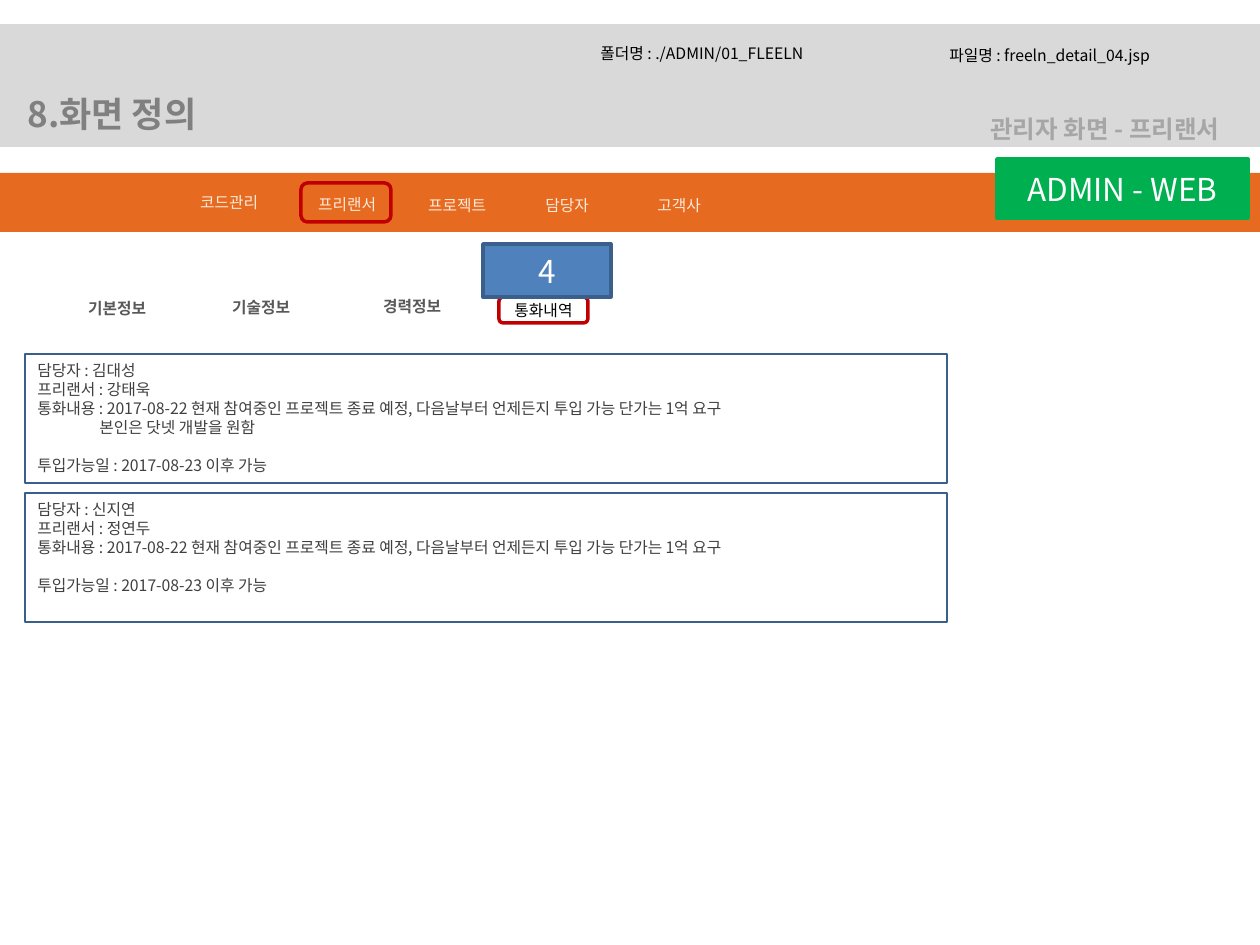
from lxml import etree
from pptx import Presentation, util as u
from pptx.dml.color import RGBColor
from pptx.enum import shapes, text
from pptx.oxml.ns import qn

PX = 914400 // 126
FONT = "Noto Sans CJK KR"
LINE_RATIO = 1.21
LEFT, CENTER = text.PP_ALIGN.LEFT, text.PP_ALIGN.CENTER
RECT, ROUNDED = shapes.MSO_SHAPE.RECTANGLE, shapes.MSO_SHAPE.ROUNDED_RECTANGLE
RED, BLUE_EDGE, GRAY, GREEN = "C00000", "3A5F8C", "D9D9D9", "00B050"

# Content: labels with left and top in px
tabs = [("기본정보", 69, 292), ("기술정보", 213, 291), ("경력정보", 364, 290)]
menu = [("코드관리", 174, 186), ("프리랜서", 292, 188), ("프로젝트", 402, 189),
        ("담당자", 512, 189), ("고객사", 624, 189)]
file_info = [("폴더명 : ./ADMIN/01_FLEELN", 588, 37, 334),
             ("파일명 : freeln_detail_04.jsp", 937, 39, 300)]
call_summary = ("통화내용 : 2017-08-22 현재 참여중인 프로젝트 종료 예정, "
                "다음날부터 언제든지 투입 가능 단가는 1억 요구")
available = "투입가능일 : 2017-08-23 이후 가능"
calls = [
    (["담당자 : 김대성", "프리랜서 : 강태욱", call_summary], "본인은 닷넷 개발을 원함"),
    (["담당자 : 신지연", "프리랜서 : 정연두", call_summary], None),
]

prs = Presentation()
prs.slide_width, prs.slide_height = u.Inches(10), u.Inches(7.5)
slide = prs.slides.add_slide(prs.slide_layouts[6])


def rgb(value):
    return RGBColor.from_string(value)


def px(*lengths):
    return [length * PX for length in lengths]


def write(frame, lines, size, color, bold=False, align=LEFT):
    frame.word_wrap = True
    frame.text = "\n".join(lines)
    for paragraph in frame.paragraphs:
        paragraph.alignment = align
        paragraph.line_spacing = u.Pt(size * LINE_RATIO)
        font = paragraph.font
        font.name, font.size, font.bold = FONT, u.Pt(size), bold
        font.color.rgb = rgb(color)
        # Hangul takes the East Asian typeface
        defaults = paragraph._p.pPr.find(qn("a:defRPr"))
        etree.SubElement(defaults, qn("a:ea"), typeface=FONT)


def label(words, box, size, color, bold=False, align=LEFT):
    frame = slide.shapes.add_textbox(*px(*box)).text_frame
    write(frame, [words], size, color, bold, align)


def block(kind, box, fill=None, edge=None, weight=2):
    shape = slide.shapes.add_shape(kind, *px(*box))
    shape.shadow.inherit = False
    if fill:
        shape.fill.solid()
        shape.fill.fore_color.rgb = rgb(fill)
    else:
        shape.fill.background()
    if edge:
        shape.line.color.rgb = rgb(edge)
        shape.line.width = u.Pt(weight)
    else:
        shape.line.fill.background()
    return shape


def badge(words, box, fill, edge):
    frame = block(RECT, box, fill, edge).text_frame
    frame.vertical_anchor = text.MSO_ANCHOR.MIDDLE
    write(frame, [words], 18, "FFFFFF", align=CENTER)


# Detail tabs, the fourth one selected
for words, left, top in tabs:
    label(words, (left, top, 96, 32), 9, "595959", True, CENTER)
block(ROUNDED, (499, 297, 89, 26), edge=RED)
badge("4", (483, 244, 128, 53), "4F81BD", BLUE_EDGE)
label("통화내역", (481, 294, 125, 32), 9, "000000", align=CENTER)

# Page header
block(RECT, (0, 26, 1260, 119), GRAY, GRAY)
label("8.화면 정의", (15, 86, 476, 55), 20, "808080", True)
label("관리자 화면 - 프리랜서", (978, 108, 333, 43), 14, "A6A6A6", True)
for words, left, top, width in file_info:
    label(words, (left, top, width, 32), 9, "000000")

# Menu band
block(RECT, (-1, 173, 1265, 59), "E66A1F")
for words, left, top in menu:
    label(words, (left, top, 110, 32), 9, "FDEADA", align=CENTER)
block(ROUNDED, (301, 183, 90, 39), edge=RED)
badge("ADMIN - WEB", (997, 159, 251, 59), GREEN, GREEN)

# Call records
for row, (lines, remark) in enumerate(calls):
    frame = block(RECT, (25, 354 + row * 139, 922, 129), None, BLUE_EDGE, 0.75).text_frame
    frame.vertical_anchor = text.MSO_ANCHOR.TOP
    write(frame, lines + ([remark] if remark else []) + [available], 9, "404040")
    frame.paragraphs[-1].space_before = u.Pt(9 * LINE_RATIO)
    if remark:
        remark_props = frame.paragraphs[-2]._p.get_or_add_pPr()
        remark_props.set("marL", str(62 * PX))

prs.save("out.pptx")
